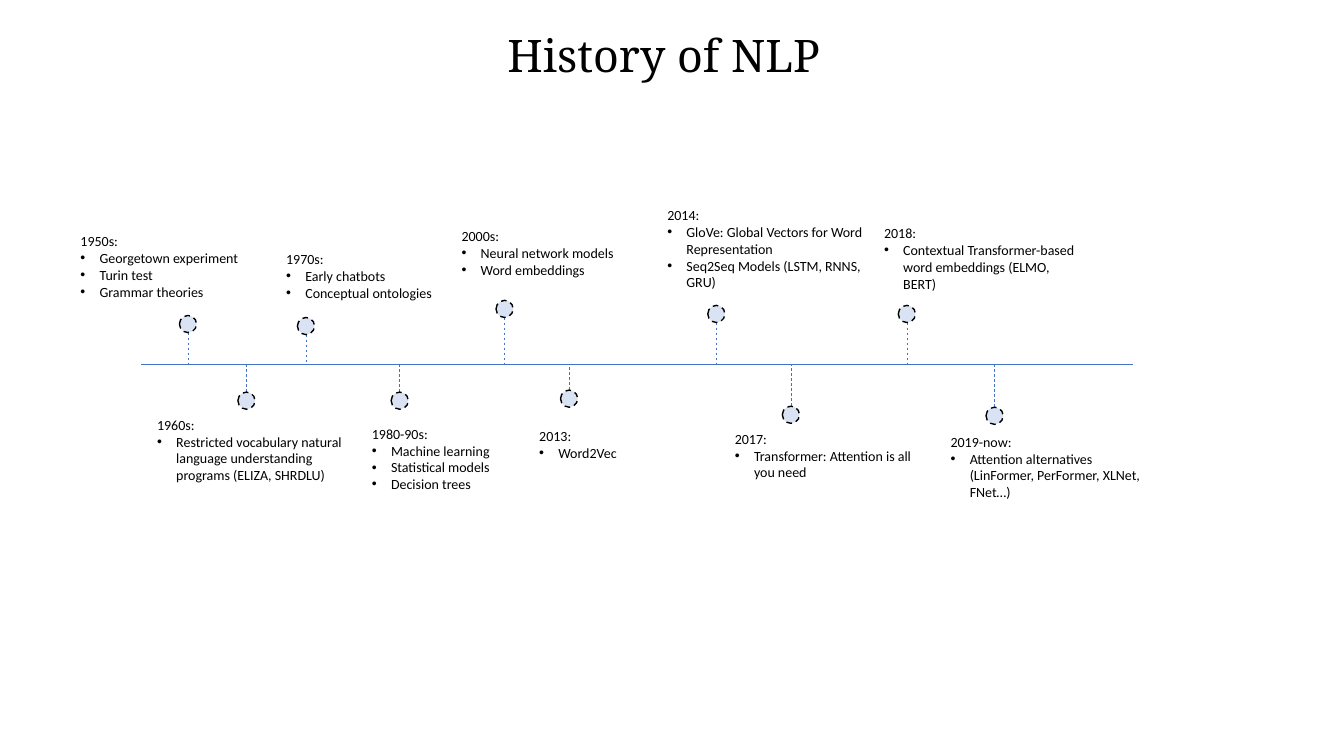
from dataclasses import dataclass

from lxml import etree
from pptx import Presentation
from pptx.dml.color import RGBColor
from pptx.enum.dml import MSO_LINE
from pptx.enum.shapes import MSO_CONNECTOR, MSO_SHAPE
from pptx.enum.text import MSO_ANCHOR, MSO_AUTO_SIZE, PP_ALIGN
from pptx.oxml.ns import qn
from pptx.util import Inches, Pt

DASH = MSO_LINE.DASH
STRAIGHT = MSO_CONNECTOR.STRAIGHT
OVAL = MSO_SHAPE.OVAL
MIDDLE = MSO_ANCHOR.MIDDLE
FIT_SHAPE = MSO_AUTO_SIZE.SHAPE_TO_FIT_TEXT
CENTER, LEFT = PP_ALIGN.CENTER, PP_ALIGN.LEFT
BLANK_LAYOUT = 6


@dataclass(frozen=True)
class Theme:
    """Colours, fonts and sizes of the deck."""
    ink: RGBColor = RGBColor(0x00, 0x00, 0x00)
    axis: RGBColor = RGBColor(0x44, 0x72, 0xC4)
    marker: RGBColor = RGBColor(0xDA, 0xE3, 0xF3)
    title_font: str = "Noto Serif"
    body_font: str = "Calibri"
    title_size: int = 32
    body_size: int = 10
    axis_width: float = 0.5
    marker_width: float = 1


@dataclass(frozen=True)
class Box:
    """A region in inches."""
    left: float
    top: float
    width: float
    height: float

    def inside(self, left, top, width, height):
        """Return a box whose offsets count from this one."""
        return Box(self.left + left, self.top + top, width, height)

    def lengths(self):
        """Return left, top, width and height as lengths."""
        return [Inches(v) for v in (self.left, self.top, self.width, self.height)]


THEME = Theme()
TITLE_BOX = Box(2.09, 0.21, 8.99, 0.73)
TIMELINE_BOX = Box(0.7, 2.0, 10.77, 3.11)
AXIS_START, AXIS_END, AXIS_Y = 0.7, 10.54, 1.61
MARKER_SIZE = 0.17
LABEL_WIDTH = 2.14
BULLET_INDENT = 0.19

# date, bullets, label (left, top, height), marker (left, top)
EVENTS = [
    ("1950s:", ["Georgetown experiment", "Turin test", "Grammar theories"],
     (0, 0.26, 0.94), (1.08, 1.13)),
    ("1960s:", ["Restricted vocabulary natural language understanding "
                "programs (ELIZA, SHRDLU)"],
     (0.76, 2.08, 0.77), (1.66, 1.89)),
    ("1970s:", ["Early chatbots", "Conceptual ontologies"],
     (2.04, 0.44, 0.77), (2.25, 1.15)),
    ("1980-90s:", ["Machine learning", "Statistical models", "Decision trees"],
     (2.89, 2.17, 0.94), (3.18, 1.89)),
    ("2000s:", ["Neural network models", "Word embeddings"],
     (3.78, 0.21, 0.77), (4.22, 0.98)),
    ("2013:", ["Word2Vec"],
     (4.55, 2.19, 0.61), (4.86, 1.87)),
    ("2014:", ["GloVe: Global Vectors for Word Representation",
               "Seq2Seq Models (LSTM, RNNS, GRU)"],
     (5.82, 0, 1.11), (6.32, 1.03)),
    ("2017:", ["Transformer: Attention is all you need"],
     (6.49, 2.22, 0.77), (7.06, 2.03)),
    ("2018:", ["Contextual Transformer-based word embeddings (ELMO, BERT)"],
     (7.97, 0.18, 0.77), (8.21, 1.03)),
    ("2019-now:", ["Attention alternatives (LinFormer, PerFormer, XLNet, FNet…)"],
     (8.63, 2.25, 0.77), (9.08, 2.04)),
]


def apply(target, formats):
    """Set each attribute named in the formats dict."""
    for name, value in formats.items():
        setattr(target, name, value)


def write(para, text, font, size):
    """Add one styled span to a paragraph."""
    span = para.add_run()
    span.text = text
    apply(span.font, {"name": font, "size": Pt(size)})
    span.font.color.rgb = THEME.ink


def add_bullet(para):
    """Give a paragraph a round bullet with a hanging indent."""
    props = para._p.get_or_add_pPr()
    indent = Inches(BULLET_INDENT)
    props.set("marL", str(indent))
    props.set("indent", str(-indent))
    etree.SubElement(props, qn("a:buFont")).set("typeface", "Arial")
    etree.SubElement(props, qn("a:buChar")).set("char", "•")


def style_line(line, color, width, dash=None):
    """Set the colour, width and dash of a line."""
    line.color.rgb = color
    apply(line, {"width": Pt(width), "dash_style": dash})


def draw_line(page, start, end, dash=None):
    """Draw a thin shadowless line between two points in inches."""
    line = page.shapes.add_connector(STRAIGHT, *map(Inches, (*start, *end)))
    style_line(line.line, THEME.axis, THEME.axis_width, dash)
    etree.SubElement(line._element.spPr, qn("a:effectLst"))


def draw_title(page, box, text):
    """Write the centred page title in its box."""
    frame = page.shapes.add_textbox(*box.lengths()).text_frame
    apply(frame, {"word_wrap": True, "vertical_anchor": MIDDLE})
    para = frame.paragraphs[0]
    apply(para, {"alignment": CENTER, "line_spacing": 0.9})
    write(para, text, THEME.title_font, THEME.title_size)


def draw_marker(page, box, axis_y):
    """Draw an event's dot and the stem that joins it to the axis."""
    center = box.left + box.width / 2
    edge = box.top + box.height if box.top < axis_y else box.top
    draw_line(page, (center, edge), (center, axis_y), DASH)
    dot = page.shapes.add_shape(OVAL, *box.lengths())
    dot.shadow.inherit = False
    dot.fill.solid()
    dot.fill.fore_color.rgb = THEME.marker
    style_line(dot.line, THEME.ink, THEME.marker_width, DASH)


def draw_label(page, box, date, bullets):
    """Write an event's date with its bullets below."""
    frame = page.shapes.add_textbox(*box.lengths()).text_frame
    apply(frame, {"word_wrap": True, "auto_size": FIT_SHAPE})
    write(frame.paragraphs[0], date, THEME.body_font, THEME.body_size)
    for bullet in bullets:
        para = frame.add_paragraph()
        para.alignment = LEFT
        add_bullet(para)
        write(para, bullet, THEME.body_font, THEME.body_size)


def draw_timeline(page, box, events):
    """Draw the axis and every event above or below it."""
    axis_y = box.top + AXIS_Y
    draw_line(page, (box.left + AXIS_START, axis_y), (box.left + AXIS_END, axis_y))
    for date, bullets, (left, top, height), marker in events:
        draw_marker(page, box.inside(*marker, MARKER_SIZE, MARKER_SIZE), axis_y)
        draw_label(page, box.inside(left, top, LABEL_WIDTH, height), date, bullets)


def build():
    """Build the one-page deck and save it."""
    deck = Presentation()
    apply(deck, {"slide_width": Inches(13.33), "slide_height": Inches(7.5)})
    page = deck.slides.add_slide(deck.slide_layouts[BLANK_LAYOUT])
    draw_title(page, TITLE_BOX, "History of NLP")
    draw_timeline(page, TIMELINE_BOX, EVENTS)
    deck.save("out.pptx")


build()
